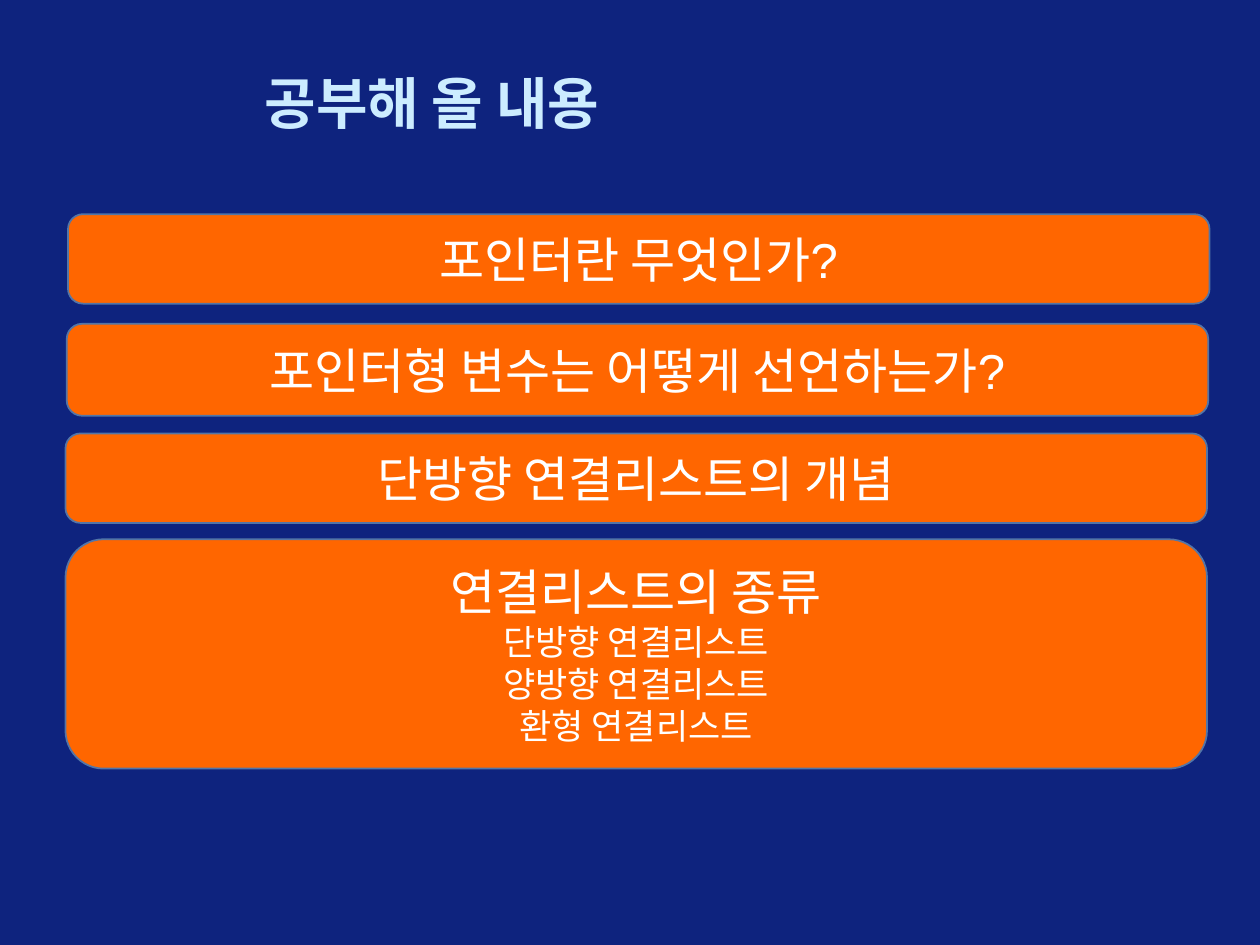
import pptx
import pptx.util
import pptx.dml.color
import pptx.enum.shapes
import pptx.enum.text
from dataclasses import dataclass

Inches = pptx.util.Inches
Pt = pptx.util.Pt
Align = pptx.enum.text.PP_ALIGN
Anchor = pptx.enum.text.MSO_ANCHOR

TITLE = "공부해 올 내용"

# left, top, height, heading, sub-topics
TOPICS = [
    (0.54, 1.70, 0.71, "포인터란 무엇인가?", []),
    (0.53, 2.57, 0.73, "포인터형 변수는 어떻게 선언하는가?", []),
    (0.52, 3.44, 0.71, "단방향 연결리스트의 개념", []),
    (0.52, 4.28, 1.82, "연결리스트의 종류",
     ["단방향 연결리스트", "양방향 연결리스트", "환형 연결리스트"]),
]
WIDTH = 9.06


@dataclass(frozen=True)
class Theme:
    face: str = "Arial"
    back: str = "0E237E"
    title: str = "CCECFF"
    box: str = "FF6600"
    edge: str = "5375A7"
    text: str = "FFFFFF"
    big: int = 32
    head: int = 28
    sub: int = 20


THEME = Theme()


def rgb(code):
    return pptx.dml.color.RGBColor.from_string(code)


def style(para, size, color, align, bold=False):
    para.alignment = align
    font = para.font
    font.name = THEME.face
    font.size = Pt(size)
    font.bold = bold
    font.color.rgb = rgb(color)


def add_title(slide):
    title = slide.shapes.title
    title.left, title.top = Inches(2), Inches(0.5)
    title.width, title.height = Inches(7.58), Inches(0.62)
    frame = title.text_frame
    frame.text = TITLE
    frame.vertical_anchor = Anchor.MIDDLE
    style(frame.paragraphs[0], THEME.big, THEME.title, Align.LEFT, True)


def add_topic(slide, left, top, height, head, subs):
    box = slide.shapes.add_shape(
        pptx.enum.shapes.MSO_SHAPE.ROUNDED_RECTANGLE,
        Inches(left), Inches(top), Inches(WIDTH), Inches(height))
    box.shadow.inherit = False
    box.fill.solid()
    box.fill.fore_color.rgb = rgb(THEME.box)
    box.line.color.rgb = rgb(THEME.edge)
    box.line.width = Pt(1)
    frame = box.text_frame
    frame.word_wrap = True
    frame.vertical_anchor = Anchor.MIDDLE
    frame.text = "\n".join([head, *subs])
    for i, para in enumerate(frame.paragraphs):
        size = THEME.sub if i else THEME.head
        style(para, size, THEME.text, Align.CENTER)


def main():
    deck = pptx.Presentation()
    deck.slide_width, deck.slide_height = Inches(10), Inches(7.5)
    slide = deck.slides.add_slide(deck.slide_layouts.get_by_name("Title Only"))
    slide.background.fill.solid()
    slide.background.fill.fore_color.rgb = rgb(THEME.back)
    add_title(slide)
    for topic in TOPICS:
        add_topic(slide, *topic)
    deck.save("out.pptx")


if __name__ == "__main__":
    main()
